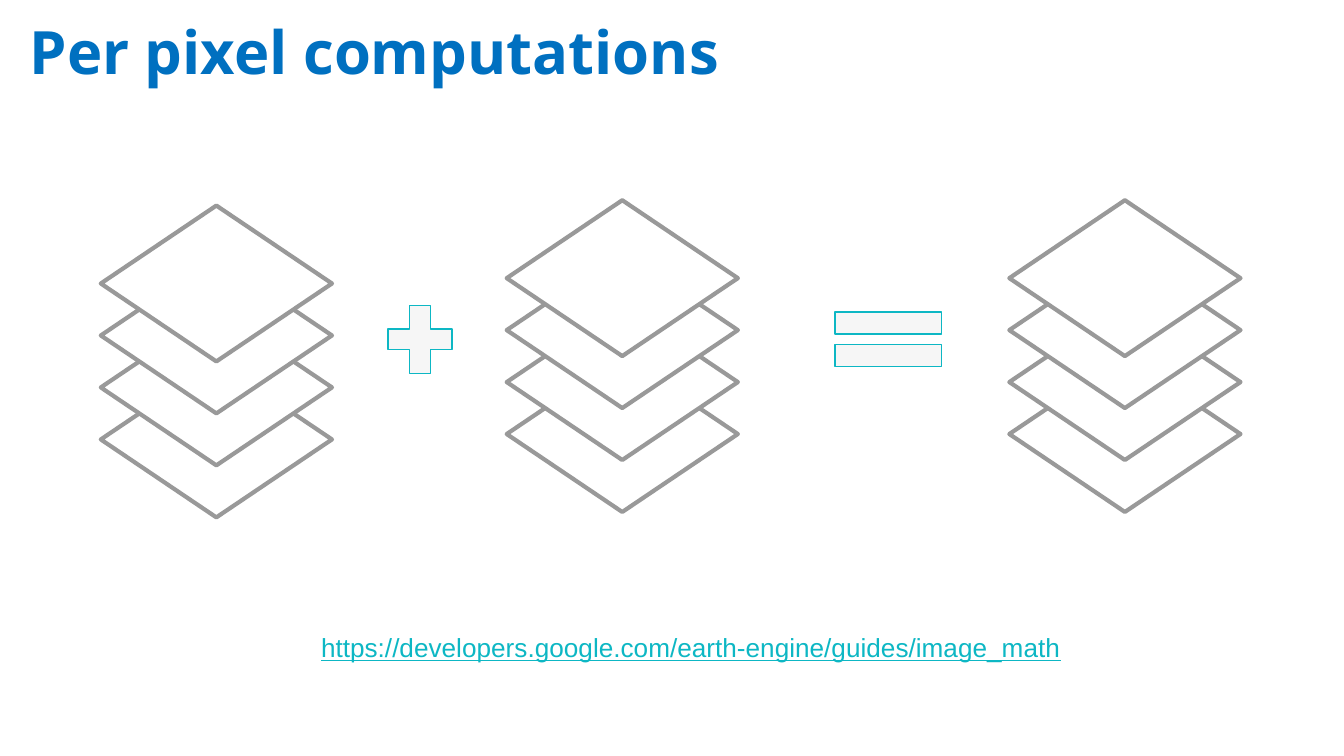
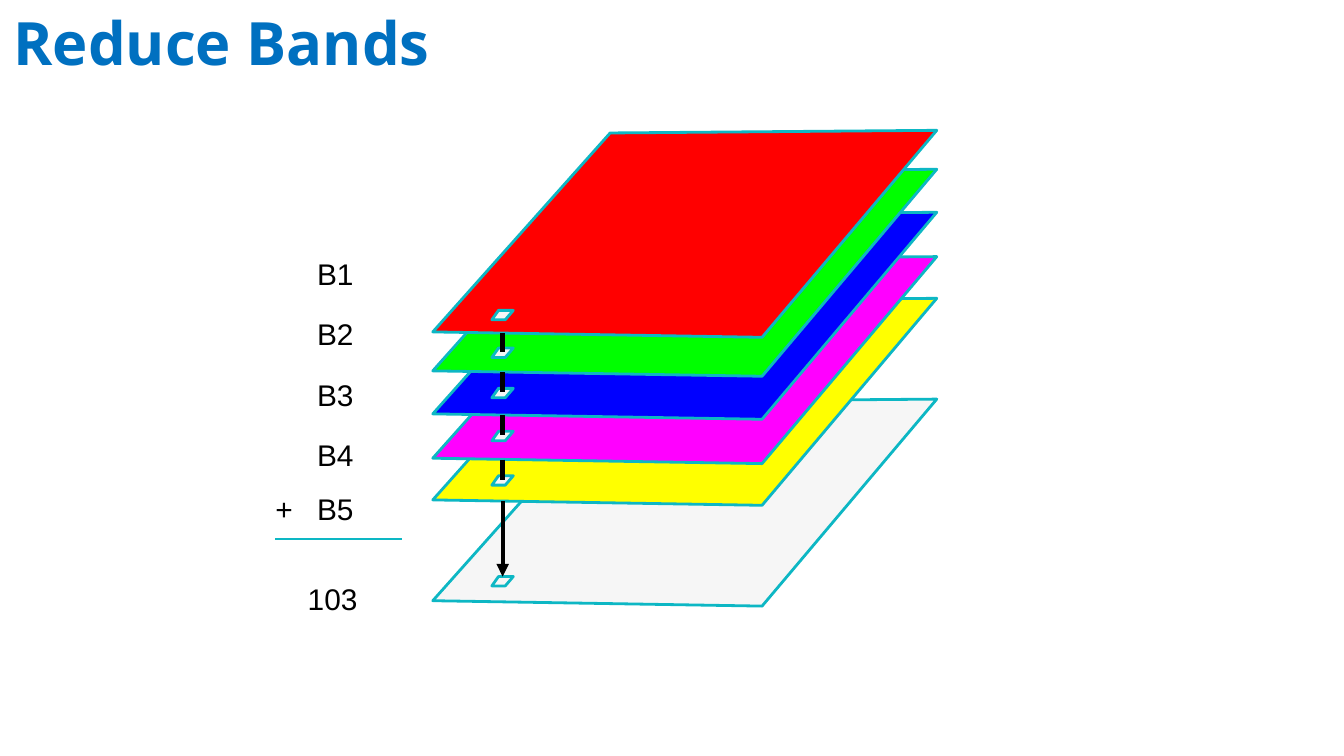
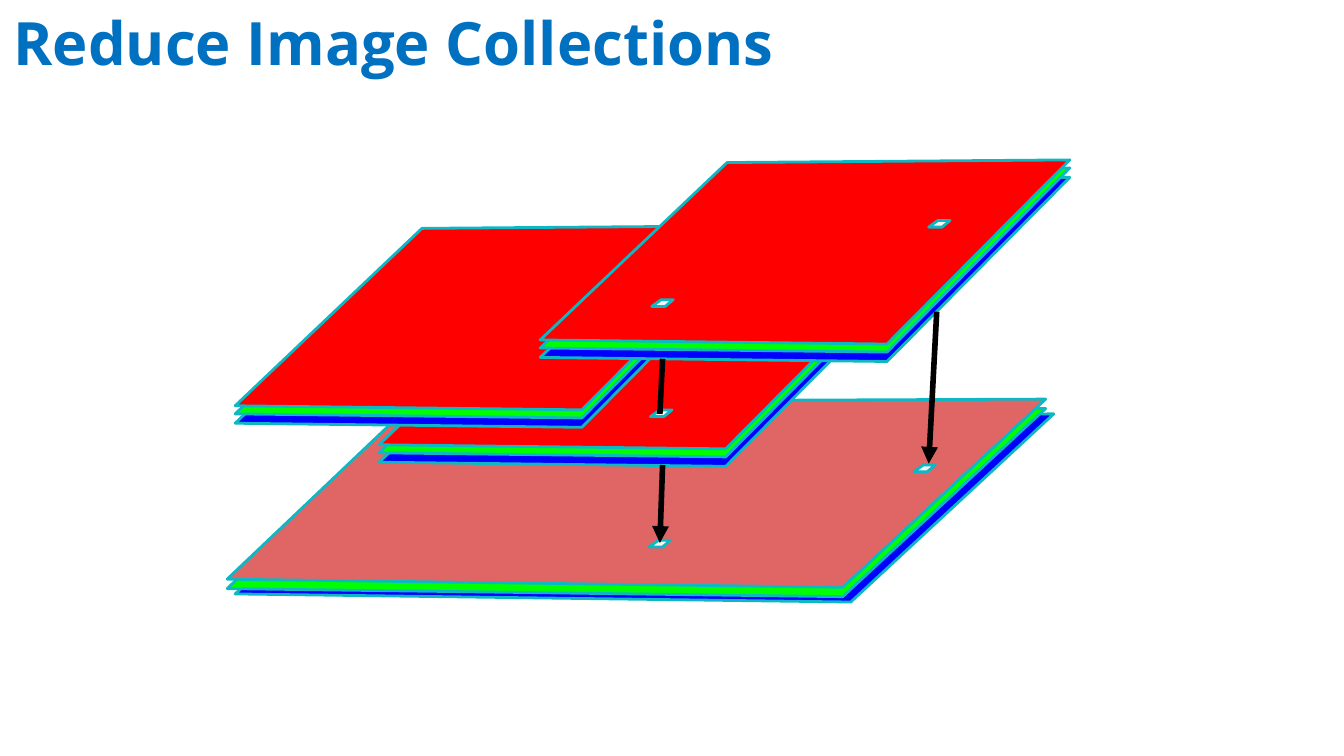
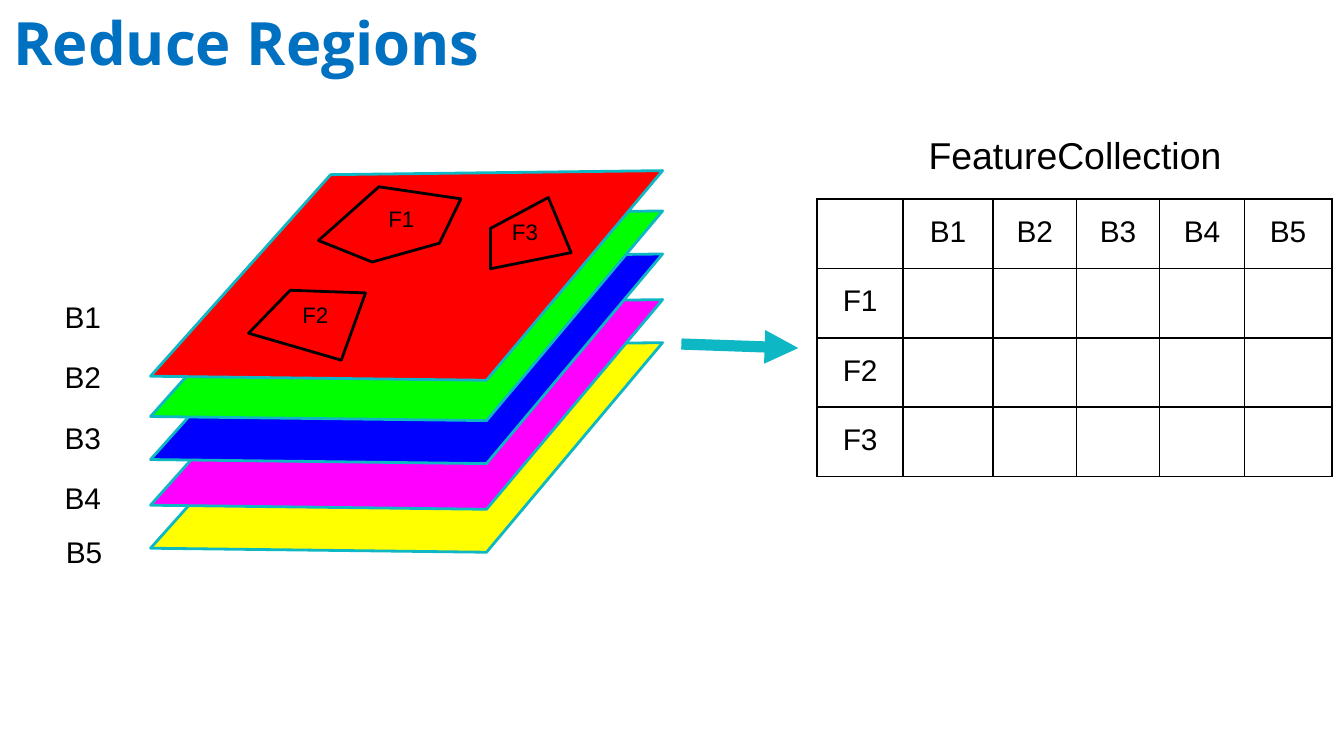
import dataclasses

import pptx
import pptx.dml.color
import pptx.enum.shapes
import pptx.enum.text
import pptx.oxml.ns
import pptx.util
from lxml import etree


@dataclasses.dataclass(frozen=True)
class Theme:
    title: str = "0070C0"
    accent: str = "0DB7C4"
    pale: str = "F6F6F6"
    white: str = "FFFFFF"
    black: str = "000000"
    gray: str = "999999"
    red: str = "FF0000"
    green: str = "00FF00"
    blue: str = "0000FF"
    magenta: str = "FF00FF"
    yellow: str = "FFFF00"
    rose: str = "E06666"
    title_font: str = "Open Sans"
    body_font: str = "Arial"
    title_size: int = 32
    heading_size: int = 20
    label_size: int = 16
    link_size: int = 14
    region_size: int = 12


THEME = Theme()
ALIGN = pptx.enum.text.PP_ALIGN
ANCHOR = pptx.enum.text.MSO_ANCHOR
SHAPE = pptx.enum.shapes.MSO_SHAPE

FIRST_TITLE = ("Per pixel computations", (0.12, 0.01, 9.32, 0.78), ANCHOR.TOP)
OTHER_TITLES = ["Reduce Bands", "Reduce Image Collections", "Reduce Regions"]
OTHER_TITLE_BOX = (0, 0, 8.47, 0.68)

IMAGE_STACKS = [(0.75, 1.53), (3.77, 1.49), (7.51, 1.49)]
LAYER_COUNT, LAYER_SPAN, LAYER_SIZE = 4, 1.16, (1.72, 1.16)
OPERATORS = [
    (SHAPE.MATH_PLUS, (2.8, 2.18, 0.65, 0.69), [0.235]),
    (SHAPE.MATH_EQUAL, (6.07, 2.18, 1.08, 0.69), [0.235, 0.118]),
]
GUIDE_LINK = "https://developers.google.com/earth-engine/guides/image_math"

BANDS = ["B1", "B2", "B3", "B4", "B5"]
BAND_COLORS = [THEME.red, THEME.green, THEME.blue, THEME.magenta, THEME.yellow]
BAND_TOTAL = "103"
BAND_LEFT, BAND_TOPS, SUM_TOP = 3.22, [0.97, 1.26, 1.58, 1.91, 2.22], 2.97
BAND_SHEET = [(0, 1.5), (1.32, 0.02), (3.75, 0), (2.45, 1.54)]
BAND_PIXEL = [(0, 0.07), (0.05, 0), (0.16, 0), (0.1, 0.07)]
PIXEL_TOPS = [2.31, 2.59, 2.89, 3.21, 3.54, 4.29]
PIXEL_LEFT, COLUMN_X, SHEET_EDGE = 3.66, 3.74, 1.51

SCENE_SHEET = [(0, 1.34), (1.39, 0.02), (3.94, 0), (2.58, 1.37)]
SCENES = [(2.82, 1.97), (1.75, 1.68), (4.02, 1.19)]
SCENE_LAYERS = [(THEME.blue, 0.13), (THEME.green, 0.06), (THEME.red, 0)]
MOSAIC_SHEET = [(0, 1.34), (1.39, 0.02), (6.09, 0), (4.58, 1.4)]
MOSAIC_LAYERS = [
    (THEME.blue, 1.75, 3.08),
    (THEME.green, 1.69, 3.04),
    (THEME.rose, 1.69, 2.97),
]
SCENE_PIXEL = [(0, 0.05), (0.07, 0), (0.16, 0), (0.1, 0.05)]
SCENE_PIXELS = [(6.91, 1.64), (6.8, 3.46), (4.85, 2.23), (4.83, 4.02), (4.84, 3.05)]
REDUCTIONS = [
    ((6.97, 2.32), (6.91, 3.45), True),
    ((4.93, 2.67), (4.91, 3.08), False),
    ((4.93, 3.46), (4.91, 4.04), True),
]

REGION_LEFT, REGION_TOPS = 1.12, [1.27, 1.57, 1.89, 2.23, 2.55]
REGION_SHEET = [(0, 1.53), (1.34, 0.03), (3.81, 0), (2.5, 1.56)]
FEATURES = {
    "F1": ([(2.37, 1.79), (2.82, 1.39), (3.43, 1.48), (3.27, 1.81), (2.77, 1.95)],
           None, (2.76, 1.43)),
    "F2": ([(1.85, 2.48), (2.16, 2.16), (2.72, 2.18), (2.54, 2.68)],
           None, (2.12, 2.14)),
    "F3": ([(4.08, 1.47), (3.65, 1.7), (3.65, 2), (4.25, 1.88)],
           THEME.red, (3.68, 1.52)),
}
FEATURE_HEADING = "FeatureCollection"
FEATURE_ROWS = [[""] + BANDS] + [[name] + [""] * len(BANDS) for name in FEATURES]
FEATURE_COLUMNS = [0.64, 0.67, 0.62, 0.62, 0.63, 0.65]
FEATURE_ROW_HEIGHT = 0.51


def inches(values):
    return [pptx.util.Inches(value) for value in values]


def rgb(color):
    return pptx.dml.color.RGBColor.from_string(color)


def apply(target, values):
    for name, value in values.items():
        setattr(target, name, value)


def add_xml(parent, tag, **attributes):
    return etree.SubElement(parent, pptx.oxml.ns.qn(tag), attributes)


def margins(inset):
    sides = ("margin_left", "margin_top", "margin_right", "margin_bottom")
    return dict.fromkeys(sides, inset)


def write(frame, text, size, color=THEME.black, font=THEME.body_font,
          align=ALIGN.LEFT, tab=None, **styles):
    paragraph = frame.paragraphs[0]
    paragraph.alignment = align
    if tab:
        stops = add_xml(paragraph._p.get_or_add_pPr(), "a:tabLst")
        add_xml(stops, "a:tab", pos=str(pptx.util.Inches(tab)), algn="l")
    run = paragraph.add_run()
    run.text = text
    apply(run.font, {"size": pptx.util.Pt(size), "name": font, **styles})
    run.font.color.rgb = rgb(color)


def add_label(shapes, box, text, size=THEME.label_size, inset=0.13, **styles):
    frame = shapes.add_textbox(*inches(box)).text_frame
    apply(frame, {"word_wrap": True, **margins(pptx.util.Inches(inset))})
    write(frame, text, size, **styles)


def paint(shape, fill, line, width):
    shape.shadow.inherit = False
    if fill:
        shape.fill.solid()
        shape.fill.fore_color.rgb = rgb(fill)
    else:
        shape.fill.background()
    shape.line.color.rgb = rgb(line)
    shape.line.width = pptx.util.Pt(width)


def add_outline(shapes, points, fill, left=0, top=0, line=THEME.accent):
    corners = [inches((left + x, top + y)) for x, y in points]
    builder = shapes.build_freeform(*corners[0])
    builder.add_line_segments(corners[1:], close=True)
    outline = builder.convert_to_shape()
    paint(outline, fill, line, 1.5)
    add_xml(outline.get_or_add_ln(), "a:round")


def add_line(shapes, start, end, width, color=THEME.black, arrow=False):
    line = shapes.add_connector(pptx.enum.shapes.MSO_CONNECTOR.STRAIGHT,
                                *inches(start + end))
    line.line.color.rgb = rgb(color)
    line.line.width = pptx.util.Pt(width)
    if arrow:
        add_xml(line.get_or_add_ln(), "a:tailEnd", type="triangle")
    add_xml(line._element.spPr, "a:effectLst")


def add_slide(deck, title, box=OTHER_TITLE_BOX, anchor=ANCHOR.BOTTOM):
    slide = deck.slides.add_slide(deck.slide_layouts[5])
    heading = slide.shapes.title
    apply(heading, dict(zip(("left", "top", "width", "height"), inches(box))))
    apply(heading.text_frame, {
        "word_wrap": True,
        "auto_size": pptx.enum.text.MSO_AUTO_SIZE.NONE,
        "vertical_anchor": anchor,
        **margins(pptx.util.Inches(0.1)),
    })
    write(heading.text_frame, title, THEME.title_size, THEME.title,
          THEME.title_font, bold=True)
    return slide.shapes


def add_band_sheets(group, sheet, left, tops):
    for color, top in reversed(list(zip(BAND_COLORS, tops))):
        add_outline(group, sheet, color, left, top)


def add_band_labels(shapes, left, top, step=0.45):
    for index, band in enumerate(BANDS[:-1]):
        add_label(shapes, (left, top + index * step, 0.62, 0.5), band)


def build_computations(shapes):
    step = LAYER_SPAN / (LAYER_COUNT - 1)
    for left, top in IMAGE_STACKS:
        stack = shapes.add_group_shape().shapes
        for level in reversed(range(LAYER_COUNT)):
            layer = stack.add_shape(
                SHAPE.FLOWCHART_DECISION,
                *inches((left, top + level * step) + LAYER_SIZE))
            paint(layer, THEME.white, THEME.gray, 2.25)
            add_xml(layer.get_or_add_ln(), "a:round")
    for kind, box, adjustments in OPERATORS:
        operator = shapes.add_shape(kind, *inches(box))
        for index, value in enumerate(adjustments):
            operator.adjustments[index] = value
        paint(operator, THEME.pale, THEME.accent, 0.75)
    add_label(shapes, (2.29, 4.6, 5.85, 0.47), GUIDE_LINK, THEME.link_size,
              0.1, color=THEME.accent, underline=True)


def build_bands(shapes):
    group = shapes.add_group_shape().shapes
    add_outline(group, BAND_SHEET, THEME.pale, BAND_LEFT, SUM_TOP)
    add_band_sheets(group, BAND_SHEET, BAND_LEFT, BAND_TOPS)
    for top in PIXEL_TOPS:
        add_outline(group, BAND_PIXEL, THEME.pale, PIXEL_LEFT, top)
    for top, pixel_top in zip(BAND_TOPS, PIXEL_TOPS[1:]):
        last = pixel_top == PIXEL_TOPS[-1]
        end = pixel_top + (0 if last else 0.03)
        add_line(group, (COLUMN_X, top + SHEET_EDGE), (COLUMN_X, end),
                 2.25 if last else 3, arrow=last)
    add_band_labels(shapes, 2.23, 1.77)
    add_label(shapes, (1.92, 3.52, 0.93, 0.5), f"+\t{BANDS[-1]}", tab=0.31)
    add_label(shapes, (2.16, 4.19, 0.76, 0.67), BAND_TOTAL)
    add_line(shapes, (2.05, 4.01), (2.99, 4.01), 1.5, THEME.accent)


def build_collections(shapes):
    group = shapes.add_group_shape().shapes
    for color, left, top in MOSAIC_LAYERS:
        add_outline(group, MOSAIC_SHEET, color, left, top)
    for left, top in SCENES:
        for color, drop in SCENE_LAYERS:
            add_outline(group, SCENE_SHEET, color, left, top + drop)
    for left, top in SCENE_PIXELS:
        add_outline(group, SCENE_PIXEL, THEME.pale, left, top)
    for start, end, arrow in REDUCTIONS:
        add_line(group, start, end, 3, arrow=arrow)


def add_borders(cell):
    properties = cell._tc.get_or_add_tcPr()
    for side in ("a:lnL", "a:lnR", "a:lnT", "a:lnB"):
        border = add_xml(properties, side, w=str(pptx.util.Pt(1)))
        add_xml(add_xml(border, "a:solidFill"), "a:srgbClr", val=THEME.black)


def add_feature_table(shapes):
    box = (6.08, 1.48, sum(FEATURE_COLUMNS), FEATURE_ROW_HEIGHT * len(FEATURE_ROWS))
    table = shapes.add_table(len(FEATURE_ROWS), len(FEATURE_COLUMNS),
                             *inches(box)).table
    apply(table, {"first_row": False, "horz_banding": False})
    for column, width in zip(table.columns, inches(FEATURE_COLUMNS)):
        column.width = width
    for row, texts in zip(table.rows, FEATURE_ROWS):
        row.height = pptx.util.Inches(FEATURE_ROW_HEIGHT)
        for cell, text in zip(row.cells, texts):
            add_borders(cell)
            cell.fill.background()
            if text:
                apply(cell, margins(pptx.util.Pt(9)))
                write(cell.text_frame, text, THEME.label_size, align=ALIGN.CENTER)


def build_regions(shapes):
    add_line(shapes, (5.07, 2.56), (5.94, 2.59), 6, THEME.accent, arrow=True)
    add_band_labels(shapes, 0.35, 2.09)
    add_label(shapes, (0.27, 3.84, 0.62, 0.5), BANDS[-1], align=ALIGN.RIGHT)
    group = shapes.add_group_shape().shapes
    add_band_sheets(group, REGION_SHEET, REGION_LEFT, REGION_TOPS)
    for points, fill, _ in FEATURES.values():
        add_outline(group, points, fill, line=THEME.black)
    for name, (_, _, corner) in FEATURES.items():
        add_label(group, corner + (0.53, 0.46), name, THEME.region_size)
    add_feature_table(shapes)
    add_label(shapes, (6.08, 0.85, 3.84, 0.59), FEATURE_HEADING,
              THEME.heading_size, align=ALIGN.CENTER)


def main():
    deck = pptx.Presentation()
    deck.slide_width = pptx.util.Inches(10)
    deck.slide_height = deck.slide_width * 9 // 16
    build_computations(add_slide(deck, *FIRST_TITLE))
    builders = [build_bands, build_collections, build_regions]
    for title, build in zip(OTHER_TITLES, builders):
        build(add_slide(deck, title))
    deck.save("out.pptx")


if __name__ == "__main__":
    main()
